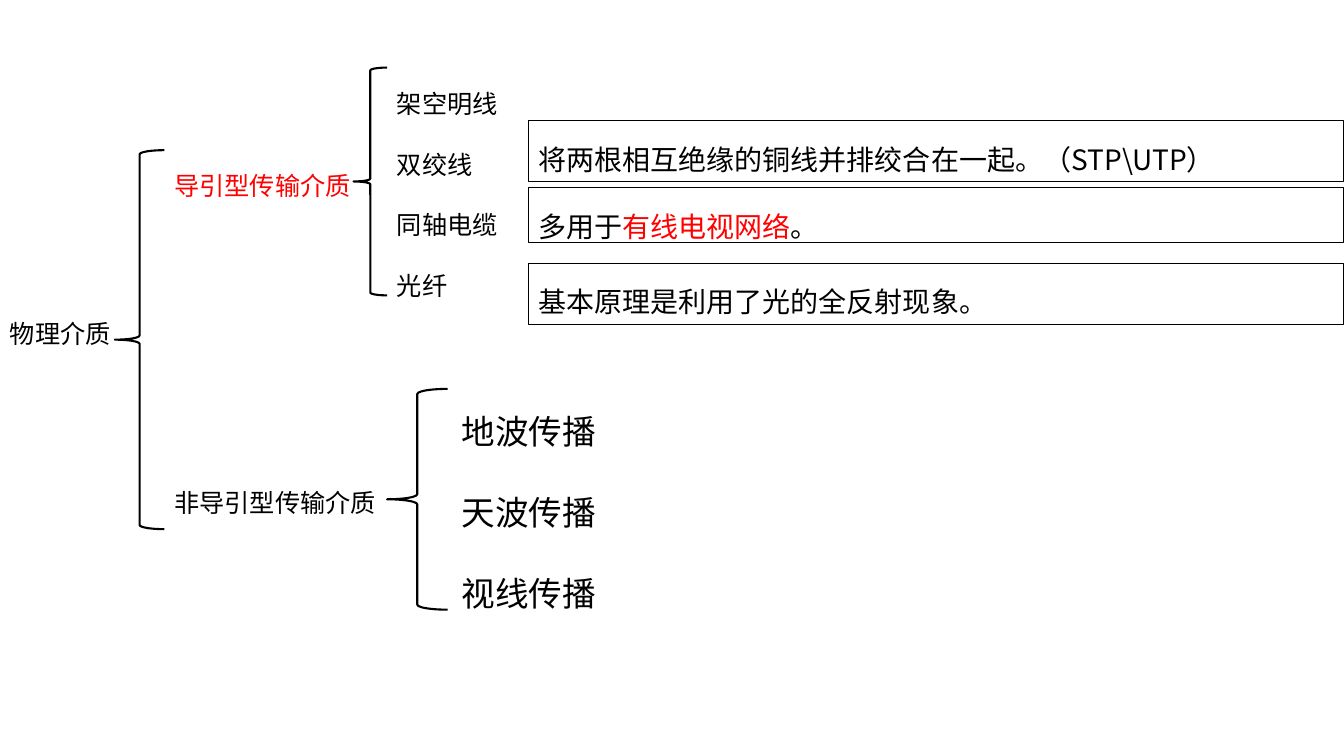
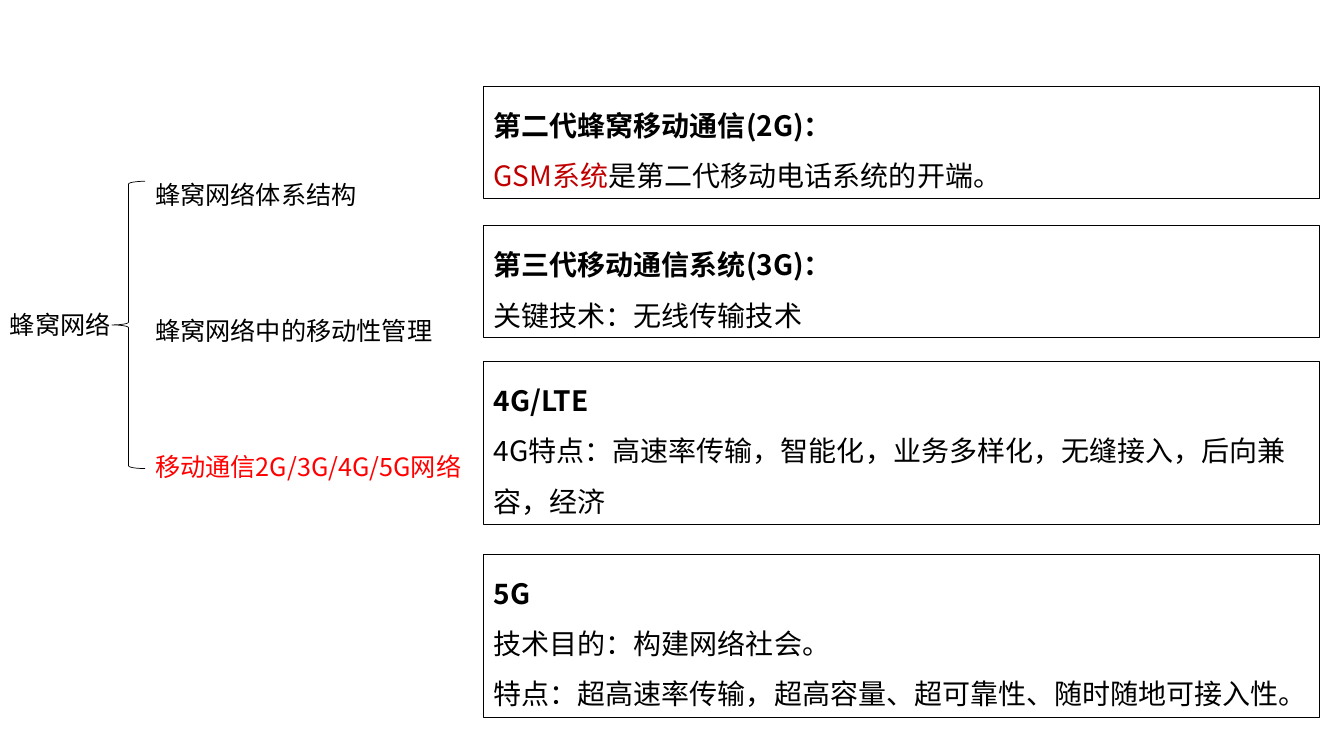
from pptx import Presentation
from pptx.dml.color import RGBColor
from pptx.enum.shapes import MSO_SHAPE
from pptx.enum.text import MSO_ANCHOR, PP_ALIGN
from pptx.oxml.ns import qn
from pptx.util import Pt

BRACE, RECT = MSO_SHAPE.LEFT_BRACE, MSO_SHAPE.RECTANGLE
TOP, LEFT = MSO_ANCHOR.TOP, PP_ALIGN.LEFT
COLORS = {"ink": "000000", "key": "FF0000", "deep": "C00000"}
FONT = "Noto Sans CJK SC"
LINE = 1.2  # height of a single-spaced line, in ems


def rgb(name):
    return RGBColor.from_string(COLORS[name])


def write(shape, paragraphs, size=18, spacing=1.0, blank_lines=0, bold_first=False):
    """Fill a shape; a paragraph is a list of (text, colour) runs or a plain string."""
    tf = shape.text_frame
    tf.word_wrap = True
    tf.vertical_anchor = TOP
    pitch = round(size * LINE * spacing, 2)
    for i, runs in enumerate(paragraphs):
        p = tf.add_paragraph() if i else tf.paragraphs[0]
        p.alignment = LEFT
        p.line_spacing = Pt(pitch)
        if i and blank_lines:
            p.space_before = Pt(blank_lines * pitch)
        for text, color in [(runs, "ink")] if isinstance(runs, str) else runs:
            r = p.add_run()
            r.text = text
            r.font.name = FONT
            r.font.size = Pt(size)
            r.font.bold = bold_first and i == 0
            r.font.color.rgb = rgb(color)
            ea = r.font._element.makeelement(qn("a:ea"), {"typeface": FONT})
            r.font._element.find(qn("a:latin")).addnext(ea)


def add_label(s, box, paragraphs, **fmt):
    write(s.shapes.add_textbox(*map(Pt, box)), paragraphs, **fmt)


def add_outline(s, kind, box, weight):
    sp = s.shapes.add_shape(kind, *map(Pt, box))
    sp.shadow.inherit = False
    sp.fill.background()
    sp.line.color.rgb = rgb("ink")
    sp.line.width = Pt(weight)
    return sp


def add_branch(s, brace, weight, lead, list_top, list_size, paragraphs, **fmt):
    """A brace with its list, set `lead` points to the right of the brace."""
    add_outline(s, BRACE, brace, weight)
    x, y, w, h = brace
    add_label(s, (x + w + lead, list_top, *list_size), paragraphs, **fmt)


def add_notes(s, x, w, notes, **fmt):
    """A column of framed notes, each given as (top, height, paragraphs)."""
    for y, h, paragraphs in notes:
        sp = add_outline(s, RECT, (x, y, w, h), 0.75)
        write(sp, paragraphs, size=20, spacing=1.5, **fmt)


def build_media(s):
    # Root and its two kinds of media
    add_label(s, (0, 224, 100, 30), ["物理介质"])
    add_branch(s, (82, 107.3, 35.4, 270.7), 1.5, 0, 107.3, (260, 269),
               [[("导引型传输介质", "key")], "非导引型传输介质"],
               spacing=1.5, blank_lines=6)
    # Guided media
    add_branch(s, (252.5, 48.3, 24, 162.7), 1.5, 0, 38.2, (164, 175),
               ["架空明线", "双绞线", "同轴电缆", "光纤"], spacing=2)
    add_notes(s, 377.5, 582.5, [
        (86, 44, ["将两根相互绝缘的铜线并排绞合在一起。（STP\\UTP）"]),
        (133.8, 39.5, [[("多用于", "ink"), ("有线电视网络", "key"), ("。", "ink")]]),
        (188, 44, ["基本原理是利用了光的全反射现象。"]),
    ])
    # Unguided media
    add_branch(s, (276.5, 277.8, 43.2, 157.7), 1.5, 3, 261.4, (200, 173),
               ["地波传播", "天波传播", "视线传播"], size=24, spacing=2)


def build_cellular(s):
    # Root and its three topics
    add_label(s, (0, 217.4, 114, 29), ["蜂窝网络"])
    add_branch(s, (80, 129.5, 23.7, 205.2), 0.5, 0, 113.8, (373, 236),
               ["蜂窝网络体系结构", "蜂窝网络中的移动性管理",
                [("移动通信2G/3G/4G/5G网络", "key")]],
               spacing=1.5, blank_lines=2)
    # Generations of mobile networks
    add_notes(s, 345.5, 597, [
        (61.7, 80, ["第二代蜂窝移动通信(2G)：",
                    [("GSM系统", "deep"), ("是第二代移动电话系统的开端。", "ink")]]),
        (161.4, 80, ["第三代移动通信系统(3G)：", "关键技术：无线传输技术"]),
        (258.2, 116.5, ["4G/LTE", "4G特点：高速率传输，智能化，业务多样化，"
                        "无缝接入，后向兼容，经济"]),
        (396, 116.5, ["5G", "技术目的：构建网络社会。",
                      "特点：超高速率传输，超高容量、超可靠性、随时随地可接入性。"]),
    ], bold_first=True)


def main():
    prs = Presentation()
    prs.slide_width, prs.slide_height = Pt(960), Pt(540)
    for build in (build_media, build_cellular):
        build(prs.slides.add_slide(prs.slide_layouts[6]))
    prs.save("out.pptx")


if __name__ == "__main__":
    main()
